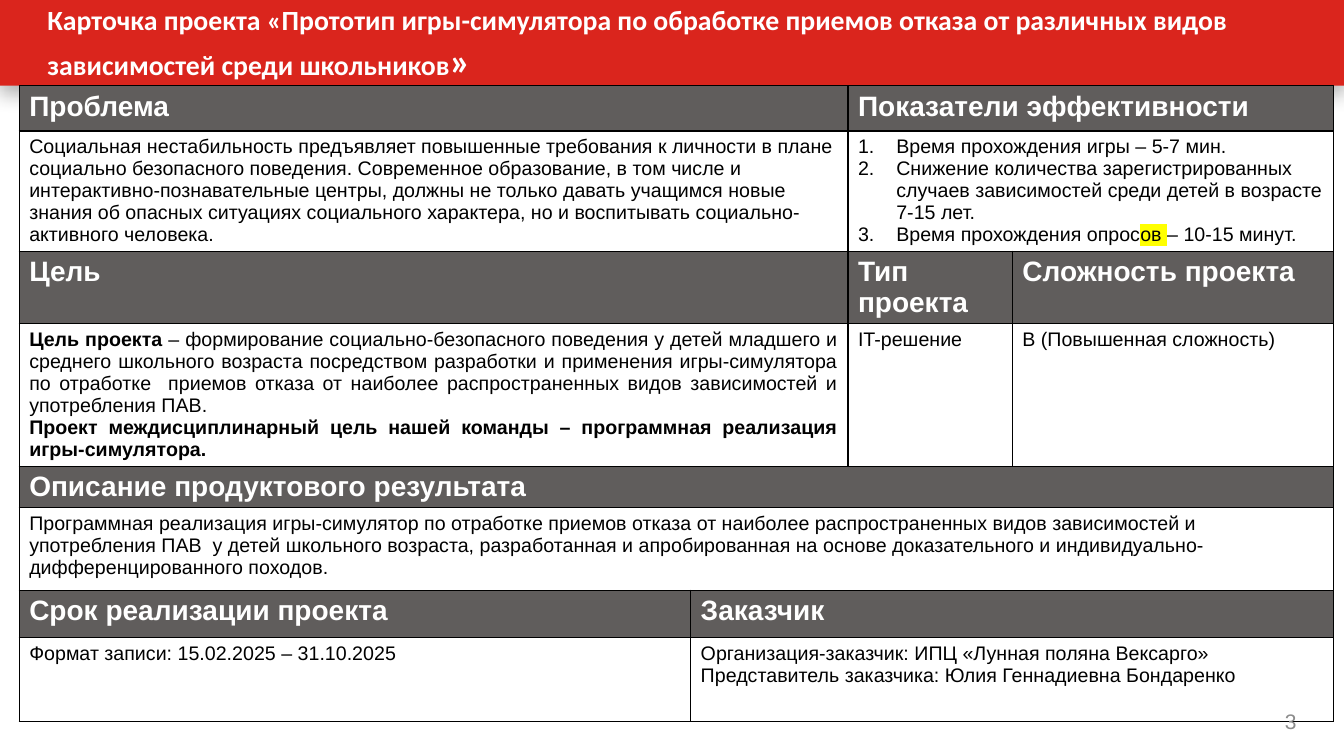
from lxml.etree import SubElement
from pptx import Presentation
from pptx.dml.color import RGBColor
from pptx.enum.shapes import MSO_SHAPE
from pptx.enum.text import MSO_ANCHOR, MSO_AUTO_SIZE, PP_ALIGN
from pptx.oxml import parse_xml
from pptx.oxml.ns import nsdecls, qn
from pptx.util import Inches, Pt

RED = RGBColor(0xDA, 0x25, 0x1D)
DARK_GRAY = RGBColor(0x60, 0x5D, 0x5C)
PAGE_GRAY = RGBColor(0x8C, 0x8C, 0x8C)
WHITE = RGBColor(0xFF, 0xFF, 0xFF)
BLACK = RGBColor(0, 0, 0)
YELLOW = RGBColor(0xFF, 0xFF, 0)


def add_run(paragraph, text, size=14, color=BLACK, bold=False, font="Arial", highlight=None):
    run = paragraph.add_run()
    run.text = text
    run.font.size = Pt(size)
    run.font.bold = bold
    run.font.color.rgb = color
    if highlight:
        mark = SubElement(run.font._element, qn("a:highlight"))
        SubElement(mark, qn("a:srgbClr"), val=str(highlight))
    run.font.name = font


def add_borders(cell):
    """Draw a thin black line on all four sides of a filled cell."""
    properties = cell._tc.get_or_add_tcPr()
    for index, side in enumerate(("lnL", "lnR", "lnT", "lnB")):
        properties.insert(index, parse_xml(
            f'<a:{side} {nsdecls("a")} w="12700"><a:solidFill>'
            f'<a:srgbClr val="{BLACK}"/></a:solidFill></a:{side}>'))


presentation = Presentation()
presentation.slide_width = Inches(13.33)
presentation.slide_height = Inches(7.5)
slide = presentation.slides.add_slide(presentation.slide_layouts[5])
title = slide.shapes.title

# Red band with a soft shadow
band = slide.shapes.add_shape(MSO_SHAPE.RECTANGLE, 0, 0, Inches(13.33), Inches(0.85))
band.fill.solid()
band.fill.fore_color.rgb = RED
band.line.fill.background()
band.shadow.inherit = False
effects = band._element.spPr.find(qn("a:effectLst"))
shadow = SubElement(effects, qn("a:outerShdw"), blurRad=str(Pt(14)), dist=str(Pt(5)),
                    dir="5400000", rotWithShape="0")
shadow_color = SubElement(shadow, qn("a:srgbClr"), val=str(BLACK))
SubElement(shadow_color, qn("a:alpha"), val="31000")

# Project card: each row lists (first column, column span, paragraphs);
# a paragraph lists its runs as (text, format)
COLUMN_WIDTHS = (6.66, 1.56, 1.63, 3.19)
ROW_HEIGHTS = (0.45, 1.12, 0.46, 1.12, 0.34, 0.82, 0.47, 0.83)
HEADING = {"size": 20, "color": WHITE, "bold": True}
BODY = {}
BOLD = {"bold": True}
MARKED = {"highlight": YELLOW}
INDICATORS_CELL = (1, 2)
GOAL_CELL = (3, 0)
card_rows = [
    [(0, 2, [[("Проблема", HEADING)]]),
     (2, 2, [[("Показатели эффективности", HEADING)]])],
    [(0, 2, [[("Социальная нестабильность предъявляет повышенные требования к личности в плане "
               "социально безопасного поведения. Современное образование, в том числе и "
               "интерактивно-познавательные центры, должны не только давать учащимся новые "
               "знания об опасных ситуациях социального характера, но и воспитывать "
               "социально-активного человека.", BODY)]]),
     (2, 2, [[("Время прохождения игры – 5-7 мин.", BODY)],
             [("Снижение количества зарегистрированных случаев зависимостей среди детей "
               "в возрасте 7-15 лет.", BODY)],
             [("Время прохождения опрос", BODY), ("ов ", MARKED), ("– 10-15 минут.", BODY)]])],
    [(0, 2, [[("Цель", HEADING)]]),
     (2, 1, [[("Тип проекта", HEADING)]]),
     (3, 1, [[("Сложность проекта", HEADING)]])],
    [(0, 2, [[("Цель проекта ", BOLD),
              ("– формирование социально-безопасного поведения у детей младшего и среднего "
               "школьного возраста посредством разработки и применения игры-симулятора по "
               "отработке  приемов отказа от наиболее распространенных видов зависимостей и "
               "употребления ПАВ.", BODY)],
             [("Проект междисциплинарный цель нашей команды – программная реализация "
               "игры-симулятора.", BOLD)]]),
     (2, 1, [[("IT-решение", BODY)]]),
     (3, 1, [[("В (Повышенная сложность)", BODY)]])],
    [(0, 4, [[("Описание продуктового результата", HEADING)]])],
    [(0, 4, [[("Программная реализация игры-симулятор по отработке приемов отказа от наиболее "
               "распространенных видов зависимостей и употребления ПАВ  у детей школьного "
               "возраста, разработанная и апробированная на основе доказательного и "
               "индивидуально-дифференцированного походов.", BODY)]])],
    [(0, 1, [[("Срок реализации проекта", HEADING)]]),
     (1, 3, [[("Заказчик", HEADING)]])],
    [(0, 1, [[("Формат записи: 15.02.2025 – 31.10.2025", BODY)]]),
     (1, 3, [[("Организация-заказчик: ИПЦ «Лунная поляна Вексарго» "
               "Представитель заказчика: Юлия Геннадиевна Бондаренко", BODY)]])],
]

table = slide.shapes.add_table(len(ROW_HEIGHTS), len(COLUMN_WIDTHS), Inches(0.19), Inches(0.85),
                               Inches(13.04), Inches(6.52)).table
table.first_row = False
table.horz_banding = False
for column, width in zip(table.columns, COLUMN_WIDTHS):
    column.width = Inches(width)
for row, height in zip(table.rows, ROW_HEIGHTS):
    row.height = Inches(height)

for row_index, card_row in enumerate(card_rows):
    for cell in table.rows[row_index].cells:
        cell.fill.solid()
        cell.fill.fore_color.rgb = WHITE if row_index % 2 else DARK_GRAY
        add_borders(cell)
    for column_index, span, paragraphs in card_row:
        cell = table.cell(row_index, column_index)
        if span > 1:
            cell.merge(table.cell(row_index, column_index + span - 1))
        for index, runs in enumerate(paragraphs):
            frame = cell.text_frame
            paragraph = frame.add_paragraph() if index else frame.paragraphs[0]
            for text, text_format in runs:
                add_run(paragraph, text, **text_format)
            if (row_index, column_index) == GOAL_CELL:
                paragraph.alignment = PP_ALIGN.JUSTIFY
            if (row_index, column_index) == INDICATORS_CELL:
                properties = paragraph._p.get_or_add_pPr()
                properties.set("marL", str(Inches(0.38)))
                properties.set("indent", str(-Inches(0.38)))
                SubElement(properties, qn("a:buAutoNum"), type="arabicPeriod")

# Page number and title share insets and vertical centring
page_number = slide.shapes.add_textbox(Inches(12.16), Inches(6.95), Inches(0.83), Inches(0.4))
title.left, title.top, title.width, title.height = 0, 0, Inches(12.16), Inches(0.85)
title.left = Inches(0.34)
slide.shapes._spTree.append(title._element)
for shape, alignment in ((page_number, PP_ALIGN.RIGHT), (title, PP_ALIGN.LEFT)):
    frame = shape.text_frame
    frame.word_wrap = True
    frame.auto_size = MSO_AUTO_SIZE.NONE
    frame.vertical_anchor = MSO_ANCHOR.MIDDLE
    frame.margin_left = frame.margin_right = Inches(0.13)
    frame.margin_top = frame.margin_bottom = Inches(0.06)
    frame.paragraphs[0].alignment = alignment

add_run(page_number.text_frame.paragraphs[0], "3", size=15, color=PAGE_GRAY)
title_paragraph = title.text_frame.paragraphs[0]
add_run(title_paragraph, "Карточка проекта «Прототип игры-симулятора по обработке приемов отказа "
        "от различных видов зависимостей среди школьников",
        size=19.8, color=WHITE, bold=True, font="Calibri")
add_run(title_paragraph, "»", size=27.9, color=WHITE, bold=True, font="Calibri")

presentation.save("out.pptx")
